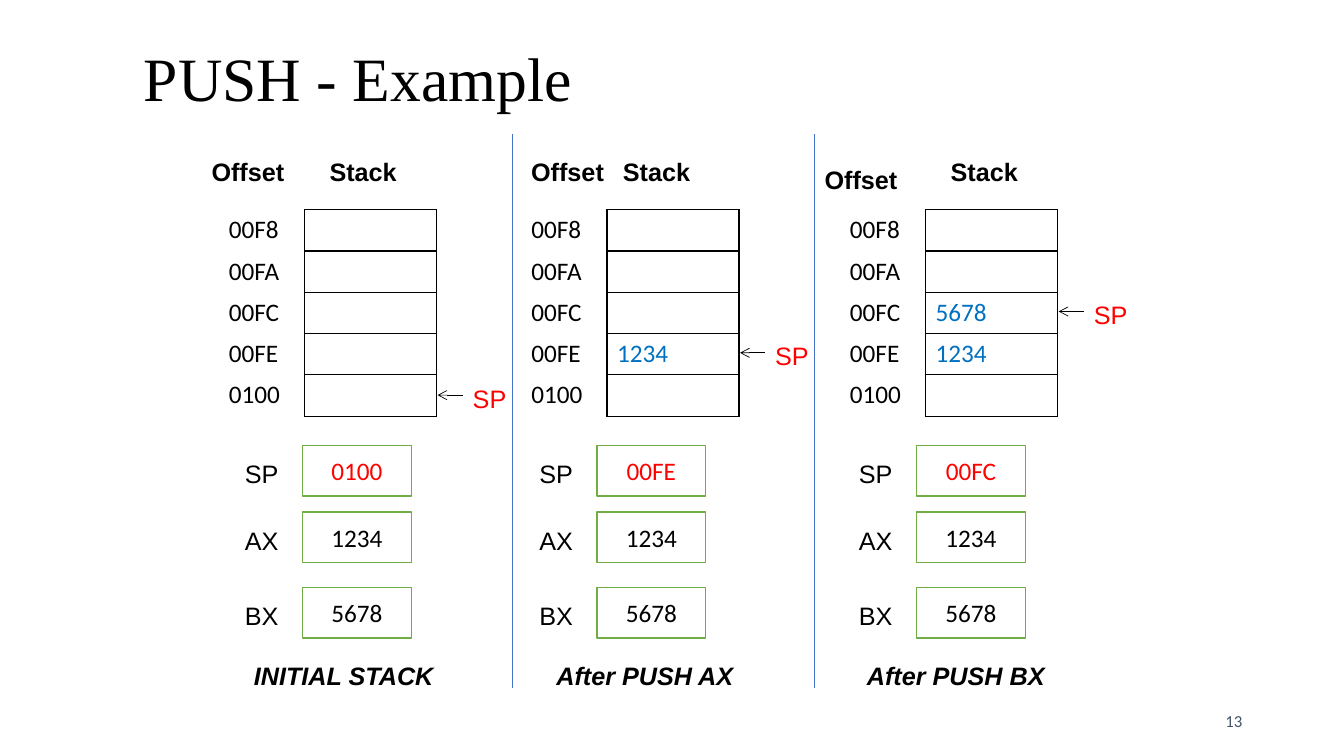
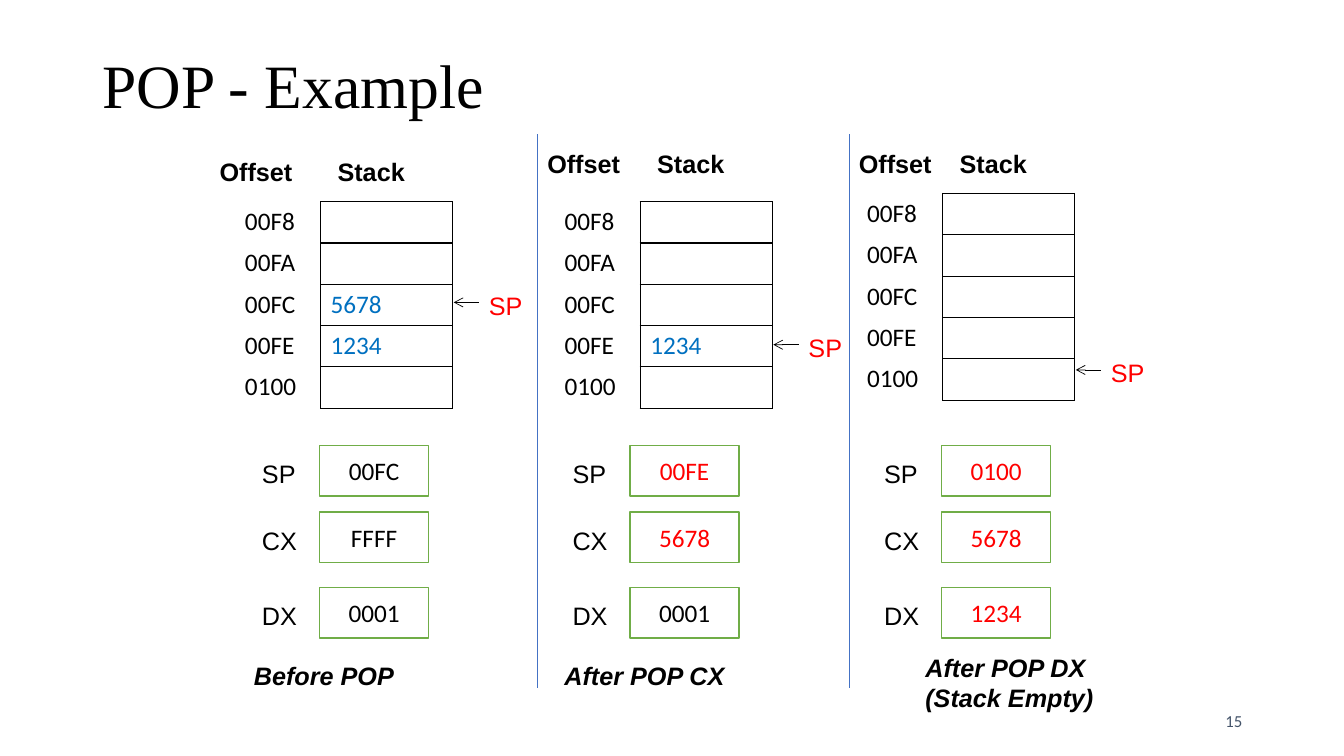
"""Build the PUSH and POP stack example slides."""
from dataclasses import dataclass

from lxml import etree
from pptx import Presentation
from pptx import util as u
from pptx.dml.color import RGBColor
from pptx.enum import shapes, text
from pptx.oxml import ns


@dataclass(frozen=True)
class Theme:
    """Colours, fonts and type sizes of the presentation."""
    ink: str = "000000"
    paper: str = "FFFFFF"
    pointer: str = "FF0000"
    value: str = "0070C0"
    register: str = "70AD47"
    divider: str = "4472C4"
    footer: str = "44546A"
    title_font: str = "Times New Roman"
    label_font: str = "Arial"
    value_font: str = "Calibri"
    title_size: int = 44
    body_size: int = 18
    footer_size: int = 12


@dataclass(frozen=True)
class Caption:
    """A bold italic line below a panel."""
    wording: str
    left: float
    top: float = 6.5
    width: float = 2
    height: float = 0.4


@dataclass(frozen=True)
class Panel:
    """One state of the stack and the registers."""
    caption: Caption
    offset_at: tuple[float, float]
    stack_at: tuple[float, float]
    table_at: tuple[float, float]
    contents: dict[str, str]
    pointer_top: float
    registers_left: float
    registers: dict[str, str]
    changed: tuple[str, ...] = ()


@dataclass(frozen=True)
class Example:
    """One slide with its title, number, dividers and panels."""
    title: str
    title_box: tuple[float, float, float, float]
    number: str
    dividers: tuple[float, ...]
    panels: tuple[Panel, ...]


THEME = Theme()
LABEL = {"size": u.Pt(THEME.body_size), "name": THEME.label_font}
VALUE = {"size": u.Pt(THEME.body_size), "name": THEME.value_font}
HEADING = {**LABEL, "bold": True}
CAPTION = {**HEADING, "italic": True}
TITLE = {"size": u.Pt(THEME.title_size), "name": THEME.title_font}
FOOTER = {"size": u.Pt(THEME.footer_size), "name": THEME.value_font}

OFFSETS = ("00F8", "00FA", "00FC", "00FE", "0100")
COLUMNS = (0.85, 1.31)
TABLE_WIDTH, ROW_HEIGHT = 2.17, 0.41
REGISTER_TOPS = (4.42, 5.08, 5.83)
ARROW_LENGTH = 0.25

EXAMPLES = (
    Example("PUSH - Example", (1.33, 0.09, 10.5, 1.43), "13", (5.08, 8.08), (
        Panel(Caption("INITIAL STACK", 2.42), (2, 1.5), (3.17, 1.5), (2.17, 2.08), {},
              3.75, 2.33, {"SP": "0100", "AX": "1234", "BX": "5678"}, ("SP",)),
        Panel(Caption("After PUSH AX", 5.42), (5.17, 1.5), (6.08, 1.5), (5.17, 2.08),
              {"00FE": "1234"}, 3.33, 5.25,
              {"SP": "00FE", "AX": "1234", "BX": "5678"}, ("SP",)),
        Panel(Caption("After PUSH BX", 8.5), (8.08, 1.58), (9.33, 1.5), (8.33, 2.08),
              {"00FC": "5678", "00FE": "1234"}, 2.92, 8.42,
              {"SP": "00FC", "AX": "1234", "BX": "5678"}, ("SP",)),
    )),
    Example("POP - Example", (0.92, 0.15, 11.5, 1.45), "15", (5.33, 8.42), (
        Panel(Caption("Before POP", 2.42), (2.08, 1.5), (3.25, 1.5), (2.33, 2),
              {"00FC": "5678", "00FE": "1234"}, 2.83, 2.5,
              {"SP": "00FC", "CX": "FFFF", "DX": "0001"}),
        Panel(Caption("After POP CX", 5.5), (5.33, 1.42), (6.42, 1.42), (5.5, 2),
              {"00FE": "1234"}, 3.25, 5.58,
              {"SP": "00FE", "CX": "5678", "DX": "0001"}, ("SP", "CX")),
        Panel(Caption("After POP DX (Stack Empty)", 9.08, 6.42, 2.17, 0.71),
              (8.42, 1.42), (9.42, 1.42), (8.5, 1.92), {}, 3.5, 8.67,
              {"SP": "0100", "CX": "5678", "DX": "1234"}, ("SP", "CX", "DX")),
    )),
)


def inches(*lengths: float) -> list[u.Length]:
    """Turn numbers into lengths."""
    return [u.Inches(length) for length in lengths]


def write(paragraph, wording: str, style: dict, color: str = THEME.ink) -> None:
    """Add one formatted run to a paragraph."""
    run = paragraph.add_run()
    run.text = wording
    for name, value in style.items():
        setattr(run.font, name, value)
    run.font.color.rgb = RGBColor.from_string(color)


def add_text(slide, box: tuple, wording: str, style: dict, color: str = THEME.ink,
             grow: bool = True):
    """Add a wrapping text box and return its paragraph."""
    frame = slide.shapes.add_textbox(*inches(*box)).text_frame
    frame.word_wrap = True
    if grow:
        frame.auto_size = text.MSO_AUTO_SIZE.SHAPE_TO_FIT_TEXT
    else:
        frame.vertical_anchor = text.MSO_ANCHOR.MIDDLE
    write(frame.paragraphs[0], wording, style, color)
    return frame.paragraphs[0]


def add_line(slide, ends: tuple, color: str, arrow: bool = False) -> None:
    """Add a thin straight line, with an arrowhead at its end on request."""
    connector = slide.shapes.add_connector(shapes.MSO_CONNECTOR.STRAIGHT, *inches(*ends))
    connector.line.width = u.Pt(0.5)
    connector.line.color.rgb = RGBColor.from_string(color)
    if arrow:
        etree.SubElement(connector.line._get_or_add_ln(), ns.qn("a:tailEnd"), type="arrow")
    etree.SubElement(connector._element.spPr, ns.qn("a:effectLst"))


def set_borders(cell, drawn: str) -> None:
    """Draw the named sides of a cell and hide the others."""
    properties = cell._tc.get_or_add_tcPr()
    for index, side in enumerate("LRTB"):
        border = etree.Element(ns.qn(f"a:ln{side}"), w=str(u.Pt(1)))
        if side in drawn:
            fill = etree.SubElement(border, ns.qn("a:solidFill"))
            etree.SubElement(fill, ns.qn("a:srgbClr"), val=THEME.ink)
        else:
            etree.SubElement(border, ns.qn("a:noFill"))
        properties.insert(index, border)


def add_stack(slide, panel: Panel) -> None:
    """Add the table of offsets and stack contents."""
    height = ROW_HEIGHT * len(OFFSETS)
    table = slide.shapes.add_table(
        len(OFFSETS), len(COLUMNS), *inches(*panel.table_at, TABLE_WIDTH, height)).table
    table.first_row = table.horz_banding = False
    for column, width in zip(table.columns, COLUMNS):
        column.width = u.Inches(width)
    for row, offset in enumerate(OFFSETS):
        table.rows[row].height = u.Inches(ROW_HEIGHT)
        entries = ((offset, THEME.ink, "R"),
                   (panel.contents.get(offset, ""), THEME.value, "LRTB"))
        for column, (wording, color, sides) in enumerate(entries):
            cell = table.cell(row, column)
            cell.fill.background()
            set_borders(cell, sides)
            if wording:
                write(cell.text_frame.paragraphs[0], wording, VALUE, color)


def add_pointer(slide, panel: Panel) -> None:
    """Add the SP label and the arrow to the top of the stack."""
    end = panel.table_at[0] + TABLE_WIDTH
    start, middle = end + ARROW_LENGTH, panel.pointer_top + 0.17
    add_line(slide, (start, middle, end, middle), THEME.ink, arrow=True)
    add_text(slide, (start, panel.pointer_top, 0.58, 0.4), "SP", LABEL, THEME.pointer)


def add_registers(slide, panel: Panel) -> None:
    """Add the register labels and boxes, with changed values in red."""
    left = panel.registers_left
    for top, (name, value) in zip(REGISTER_TOPS, panel.registers.items()):
        add_text(slide, (left, top + 0.08, 0.58, 0.4), name, LABEL)
        shape = slide.shapes.add_shape(
            shapes.MSO_SHAPE.RECTANGLE, *inches(left + 0.67, top, 1.08, 0.5))
        shape.shadow.inherit = False
        shape.fill.solid()
        shape.fill.fore_color.rgb = RGBColor.from_string(THEME.paper)
        shape.line.color.rgb = RGBColor.from_string(THEME.register)
        shape.line.width = u.Pt(1)
        shape.text_frame.vertical_anchor = text.MSO_ANCHOR.MIDDLE
        paragraph = shape.text_frame.paragraphs[0]
        paragraph.alignment = text.PP_ALIGN.CENTER
        color = THEME.pointer if name in panel.changed else THEME.ink
        write(paragraph, value, VALUE, color)


def add_panel(slide, panel: Panel) -> None:
    """Add one state with its headings and caption."""
    add_stack(slide, panel)
    add_pointer(slide, panel)
    add_registers(slide, panel)
    for wording, place in (("Offset", panel.offset_at), ("Stack", panel.stack_at)):
        add_text(slide, (*place, 1, 0.4), wording, HEADING)
    caption = panel.caption
    box = (caption.left, caption.top, caption.width, caption.height)
    add_text(slide, box, caption.wording, CAPTION)


def add_example(presentation, example: Example) -> None:
    """Add one example slide."""
    slide = presentation.slides.add_slide(presentation.slide_layouts[6])
    title = add_text(slide, example.title_box, example.title, TITLE, grow=False)
    title.line_spacing = 0.9
    number = add_text(slide, (9.42, 6.95, 3, 0.4), example.number, FOOTER, THEME.footer,
                      grow=False)
    number.alignment = text.PP_ALIGN.RIGHT
    for panel in example.panels:
        add_panel(slide, panel)
    for left in example.dividers:
        add_line(slide, (left, 1.33, left, 6.83), THEME.divider)


def main() -> None:
    """Build and save the presentation."""
    presentation = Presentation()
    presentation.slide_width, presentation.slide_height = inches(13.33, 7.5)
    for example in EXAMPLES:
        add_example(presentation, example)
    presentation.save("out.pptx")


if __name__ == "__main__":
    main()
